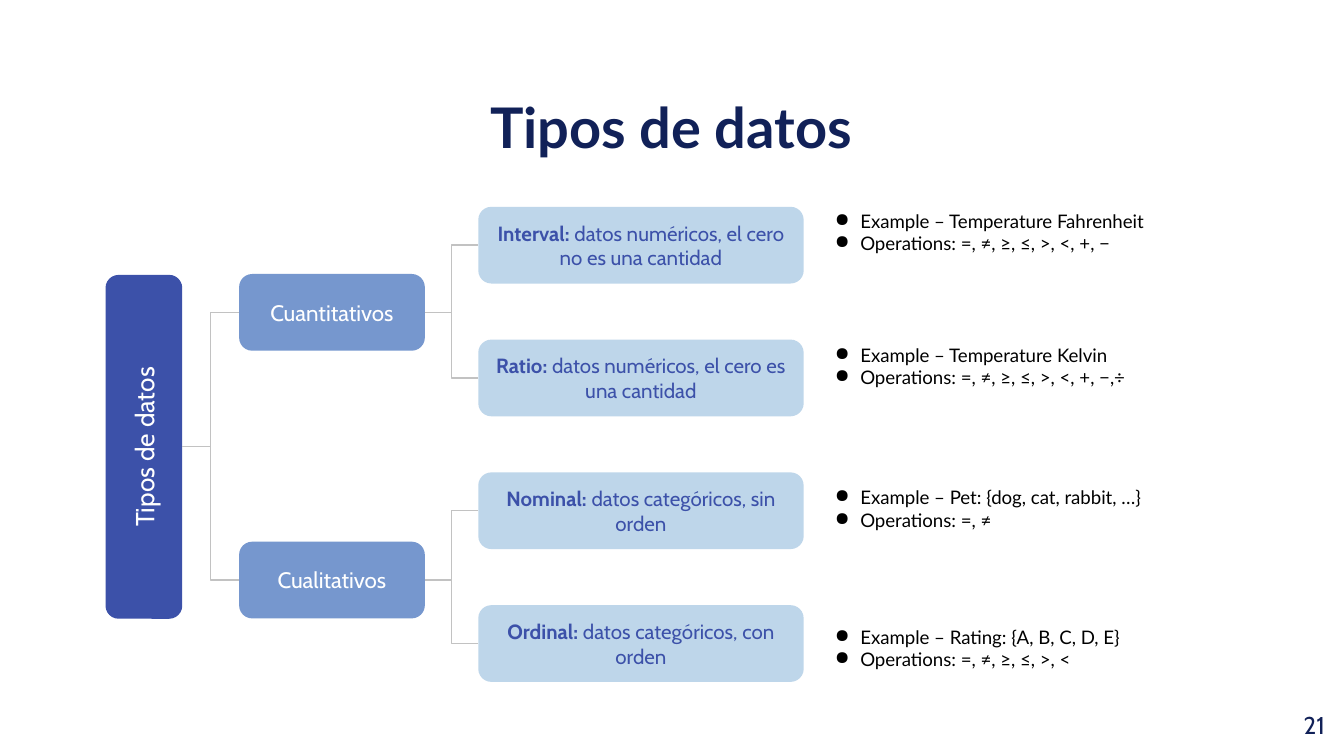
from dataclasses import dataclass

from lxml.etree import SubElement
from pptx import Presentation
from pptx.dml.color import RGBColor
from pptx.enum.shapes import MSO_CONNECTOR, MSO_SHAPE
from pptx.enum.text import MSO_ANCHOR, MSO_AUTO_SIZE, PP_ALIGN
from pptx.oxml.ns import qn
from pptx.shapes.autoshape import Shape
from pptx.slide import Slide
from pptx.text.text import TextFrame, _Run
from pptx.util import Cm, Pt


@dataclass(frozen=True)
class Theme:
    heading_font: str = "Lato"
    body_font: str = "Cabin"
    navy: str = "112158"
    indigo: str = "3C51A9"
    blue: str = "7697CE"
    pale: str = "BED6EA"
    line: str = "C2C2C2"
    white: str = "FFFFFF"
    black: str = "000000"
    title_size: float = 30
    root_size: float = 14
    number_size: float = 13
    branch_size: float = 12
    leaf_size: float = 11
    note_size: float = 10


@dataclass(frozen=True)
class Box:
    left: float
    top: float
    width: float
    height: float


@dataclass(frozen=True)
class Leaf:
    term: str
    meaning: str
    example: str
    operations: str
    note_top: float


@dataclass(frozen=True)
class Branch:
    label: str
    top: float
    leaves: tuple[Leaf, ...]


THEME = Theme()
NODE_HEIGHT = 1.45
LEAF_TOP, LEAF_STEP = 3.91, 2.51

BRANCHES = (
    Branch("Cuantitativos", 5.18, (
        Leaf("Interval: ", "datos numéricos, el cero no es una cantidad",
             "Temperature Fahrenheit", "=, ≠, ≥, ≤, >, <, +, −", 3.71),
        Leaf("Ratio: ", "datos numéricos, el cero es una cantidad",
             "Temperature Kelvin", "=, ≠, ≥, ≤, >, <, +, −,÷", 6.25),
    )),
    Branch("Cualitativos", 10.24, (
        Leaf("Nominal: ", "datos categóricos, sin orden",
             "Pet: {dog, cat, rabbit, …}", "=, ≠", 8.94),
        Leaf("Ordinal: ", "datos categóricos, con orden",
             "Rating: {A, B, C, D, E}", "=, ≠, ≥, ≤, >, <", 11.58),
    )),
)


def lengths(box: Box) -> tuple[Cm, Cm, Cm, Cm]:
    return Cm(box.left), Cm(box.top), Cm(box.width), Cm(box.height)


def style_run(run: _Run, font: str, size: float, color: str, bold: bool = False) -> None:
    run.font.name = font
    run.font.size = Pt(size)
    run.font.bold = bold
    run.font.color.rgb = RGBColor.from_string(color)


def prepare_frame(frame: TextFrame, anchor: MSO_ANCHOR) -> None:
    frame.word_wrap = True
    frame.vertical_anchor = anchor
    frame.margin_left = frame.margin_right = Cm(0.25)
    frame.margin_top = frame.margin_bottom = Cm(0.25)


def add_title(slide: Slide, text: str) -> None:
    title = slide.shapes.title
    title.left, title.top, title.width, title.height = lengths(Box(1.98, 1.5, 21.41, 1.6))
    frame = title.text_frame
    frame.text = text
    prepare_frame(frame, MSO_ANCHOR.TOP)
    frame.auto_size = MSO_AUTO_SIZE.NONE
    frame.paragraphs[0].alignment = PP_ALIGN.CENTER
    style_run(frame.paragraphs[0].runs[0], THEME.heading_font, THEME.title_size,
              THEME.navy, bold=True)


def add_node(slide: Slide, box: Box, fill: str, label: str, size: float, color: str,
             term: str = "") -> Shape:
    node = slide.shapes.add_shape(MSO_SHAPE.ROUNDED_RECTANGLE, *lengths(box))
    node.shadow.inherit = False
    node.adjustments[0] = 0.17
    node.fill.solid()
    node.fill.fore_color.rgb = RGBColor.from_string(fill)
    node.line.fill.background()
    prepare_frame(node.text_frame, MSO_ANCHOR.MIDDLE)
    paragraph = node.text_frame.paragraphs[0]
    paragraph.alignment = PP_ALIGN.CENTER
    for text, bold in ((term, True), (label, False)):
        if text:
            run = paragraph.add_run()
            run.text = text
            style_run(run, THEME.body_font, size, color, bold)
    return node


def add_note(slide: Slide, leaf: Leaf) -> None:
    note = slide.shapes.add_textbox(*lengths(Box(15.37, leaf.note_top, 7.8, 1.37)))
    frame = note.text_frame
    frame.text = f"Example – {leaf.example}\nOperations: {leaf.operations}"
    prepare_frame(frame, MSO_ANCHOR.TOP)
    frame.auto_size = MSO_AUTO_SIZE.SHAPE_TO_FIT_TEXT
    for paragraph in frame.paragraphs:
        properties = paragraph._p.get_or_add_pPr()
        properties.set("marL", str(Cm(0.64)))
        properties.set("indent", str(Cm(-0.48)))
        bullet_color = SubElement(properties, qn("a:buClr"))
        SubElement(bullet_color, qn("a:srgbClr"), val=THEME.black)
        SubElement(properties, qn("a:buChar"), char="●")
        style_run(paragraph.runs[0], THEME.heading_font, THEME.note_size, THEME.black)


def add_page_number(slide: Slide, number: str) -> None:
    page_number = slide.shapes.add_textbox(*lengths(Box(23.77, 13.18, 1.52, 1.09)))
    frame = page_number.text_frame
    frame.text = number
    prepare_frame(frame, MSO_ANCHOR.TOP)
    frame.paragraphs[0].alignment = PP_ALIGN.RIGHT
    style_run(frame.paragraphs[0].runs[0], THEME.body_font, THEME.number_size, THEME.navy)


def connect(slide: Slide, parent: Shape, child: Shape) -> None:
    reach, site = (parent.height, 2) if parent.rotation else (parent.width, 3)
    link = slide.shapes.add_connector(MSO_CONNECTOR.ELBOW, 0, 0, 0, 0)
    link.begin_connect(parent, site)
    link.end_connect(child, 1)
    link.begin_x = parent.left + (parent.width + reach) // 2
    link.begin_y = parent.top + parent.height // 2
    link.line.width = Pt(0.75)
    link.line.color.rgb = RGBColor.from_string(THEME.line)
    SubElement(link._element.spPr, qn("a:effectLst"))


def main() -> None:
    presentation = Presentation()
    presentation.slide_width, presentation.slide_height = Cm(25.4), Cm(14.29)
    slide = presentation.slides.add_slide(presentation.slide_layouts[5])
    add_title(slide, "Tipos de datos")

    root = add_node(slide, Box(-0.53, 7.72, 6.5, NODE_HEIGHT), THEME.indigo,
                    "Tipos de datos", THEME.root_size, THEME.white)
    root.rotation = 270
    leaf_top = LEAF_TOP
    for branch in BRANCHES:
        branch_node = add_node(slide, Box(4.52, branch.top, 3.51, NODE_HEIGHT), THEME.blue,
                               branch.label, THEME.branch_size, THEME.white)
        connect(slide, root, branch_node)
        for leaf in branch.leaves:
            leaf_node = add_node(slide, Box(9.04, leaf_top, 6.15, NODE_HEIGHT), THEME.pale,
                                 leaf.meaning, THEME.leaf_size, THEME.indigo, leaf.term)
            connect(slide, branch_node, leaf_node)
            add_note(slide, leaf)
            leaf_top += LEAF_STEP

    add_page_number(slide, "21")
    presentation.save("out.pptx")


if __name__ == "__main__":
    main()
